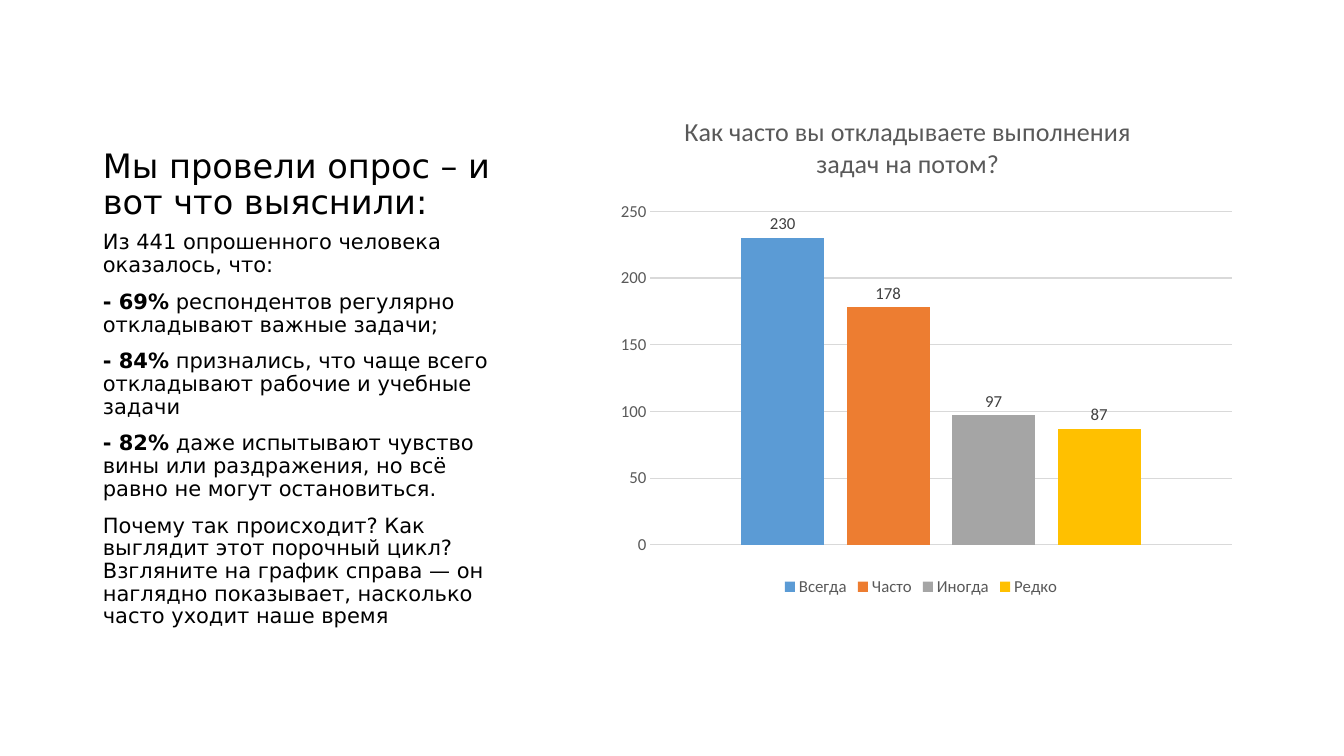
from lxml import etree
from pptx import Presentation
from pptx.chart.data import CategoryChartData
from pptx.dml.color import RGBColor
from pptx.enum.chart import XL_CHART_TYPE, XL_LABEL_POSITION, XL_LEGEND_POSITION, XL_TICK_MARK
from pptx.enum.text import MSO_ANCHOR, MSO_AUTO_SIZE, PP_ALIGN
from pptx.util import Inches, Pt

COLUMN = XL_CHART_TYPE.COLUMN_CLUSTERED
OUT_END = XL_LABEL_POSITION.OUTSIDE_END
BOTTOM = XL_LEGEND_POSITION.BOTTOM
NO_TICK = XL_TICK_MARK.NONE
LEFT = PP_ALIGN.LEFT
TOP, LOW = MSO_ANCHOR.TOP, MSO_ANCHOR.BOTTOM
NO_FIT = MSO_AUTO_SIZE.NONE

WIDE, HIGH = 13.33, 7.5
SANS, CALIBRI = "DejaVu Sans", "Calibri"
BLACK, GREY, DARK, PALE = "000000", "595959", "404040", "D9D9D9"

HEAD = "Мы провели опрос – и вот что выяснили:"
FACTS = [
    ("", "Из 441 опрошенного человека оказалось, что:"),
    ("- 69%", " респондентов регулярно откладывают важные задачи;"),
    ("- 84%", " признались, что чаще всего откладывают рабочие и учебные задачи"),
    ("- 82%", " даже испытывают чувство вины или раздражения, "
              "но всё равно не могут остановиться."),
    ("", "Почему так происходит? Как выглядит этот порочный цикл? "
         "Взгляните на график справа — он наглядно показывает, "
         "насколько часто уходит наше время"),
]
ASK = "Как часто вы откладываете выполнения задач на потом?"
VOTES = [("Всегда", 230, "5B9BD5"), ("Часто", 178, "ED7D31"),
         ("Иногда", 97, "A5A5A5"), ("Редко", 87, "FFC000")]


def tint(code):
    """Turn a hex string into a colour."""
    return RGBColor.from_string(code)


def style(font, size, color=GREY, face=CALIBRI, bold=False):
    """Format a font."""
    font.size, font.name, font.bold = Pt(size), face, bold
    font.color.rgb = tint(color)


def write(para, text, **look):
    """Add a formatted run to a paragraph."""
    run = para.add_run()
    run.text = text
    style(run.font, **look)


def place(shape, box):
    """Move a shape to a box given in inches."""
    shape.left, shape.top, shape.width, shape.height = map(Inches, box)


def fill(holder, box, rows, size, anchor, gap=0):
    """Put rows of bold and plain text in a placeholder."""
    place(holder, box)
    frame = holder.text_frame
    frame.word_wrap, frame.auto_size = True, NO_FIT
    frame.vertical_anchor = anchor
    for i, row in enumerate(rows):
        para = frame.add_paragraph() if i else frame.paragraphs[0]
        para.alignment, para.line_spacing = LEFT, 0.9
        para.space_before = Pt(gap if i else 0)
        for text, bold in zip(row, (True, False)):
            if text:
                write(para, text, size=size, color=BLACK, face=SANS, bold=bold)


def story(title, body, box):
    """Stack the title and the findings in a column."""
    x, y, w, h = box
    split = 1.75
    fill(title, (x, y, w, split), [("", HEAD)], 24, LOW)
    fill(body, (x, y + split, w, h - split), FACTS, 15, TOP, 10)


def pin(part, before, **shares):
    """Fix a chart part at shares of the chart's size."""
    for old in part.findall("{*}layout"):
        part.remove(old)
    space = etree.QName(part).namespace
    lay = etree.Element(f"{{{space}}}layout")
    hand = etree.SubElement(lay, f"{{{space}}}manualLayout")
    for name, value in shares.items():
        etree.SubElement(hand, f"{{{space}}}{name}").set("val", str(value))
    part.find(before).addprevious(lay)


def survey(slide, box):
    """Draw the column chart of answers."""
    data = CategoryChartData()
    data.categories = ["1"]
    for name, count, _ in VOTES:
        data.add_series(name, [count])
    chart = slide.shapes.add_chart(COLUMN, *map(Inches, box), data).chart
    style(chart.font, 10, BLACK)
    chart.has_title = True
    write(chart.chart_title.text_frame.paragraphs[0], ASK, size=18.6)
    pin(chart.chart_title._element, "{*}overlay", xMode="edge", yMode="edge", x=0.13, y=0.04)

    plot = chart.plots[0]
    plot.gap_width, plot.overlap, plot.vary_by_categories = 219, -27, False
    pin(chart._chartSpace.chart.plotArea, "{*}barChart", layoutTarget="inner",
        xMode="edge", yMode="edge", x=0.085, y=0.241, w=0.891, h=0.65)
    for bars, (_, _, color) in zip(plot.series, VOTES):
        bars.format.fill.solid()
        bars.format.fill.fore_color.rgb = tint(color)
        marks = bars.data_labels
        marks.show_value, marks.position = True, OUT_END
        style(marks.font, 12, DARK)

    chart.category_axis.visible = False
    axis = chart.value_axis
    axis.minimum_scale, axis.maximum_scale, axis.major_unit = 0, 250, 50
    axis.major_tick_mark = axis.minor_tick_mark = NO_TICK
    axis.format.line.fill.background()
    grid = axis.major_gridlines.format.line
    grid.width, grid.color.rgb = Pt(0.75), tint(PALE)
    style(axis.tick_labels.font, 12)

    chart.has_legend = True
    chart.legend.position, chart.legend.include_in_layout = BOTTOM, False
    style(chart.legend.font, 12)


def main():
    """Build the slide and save it."""
    deck = Presentation()
    deck.slide_width, deck.slide_height = Inches(WIDE), Inches(HIGH)
    slide = deck.slides.add_slide(deck.slide_layouts[7])
    title, spare, body = slide.placeholders
    spare.element.getparent().remove(spare.element)
    story(title, body, (0.92, 0.5, 4.3, 5.92))
    survey(slide, (5.9, 0.87, 6.47, 5.09))
    deck.save("out.pptx")


if __name__ == "__main__":
    main()
